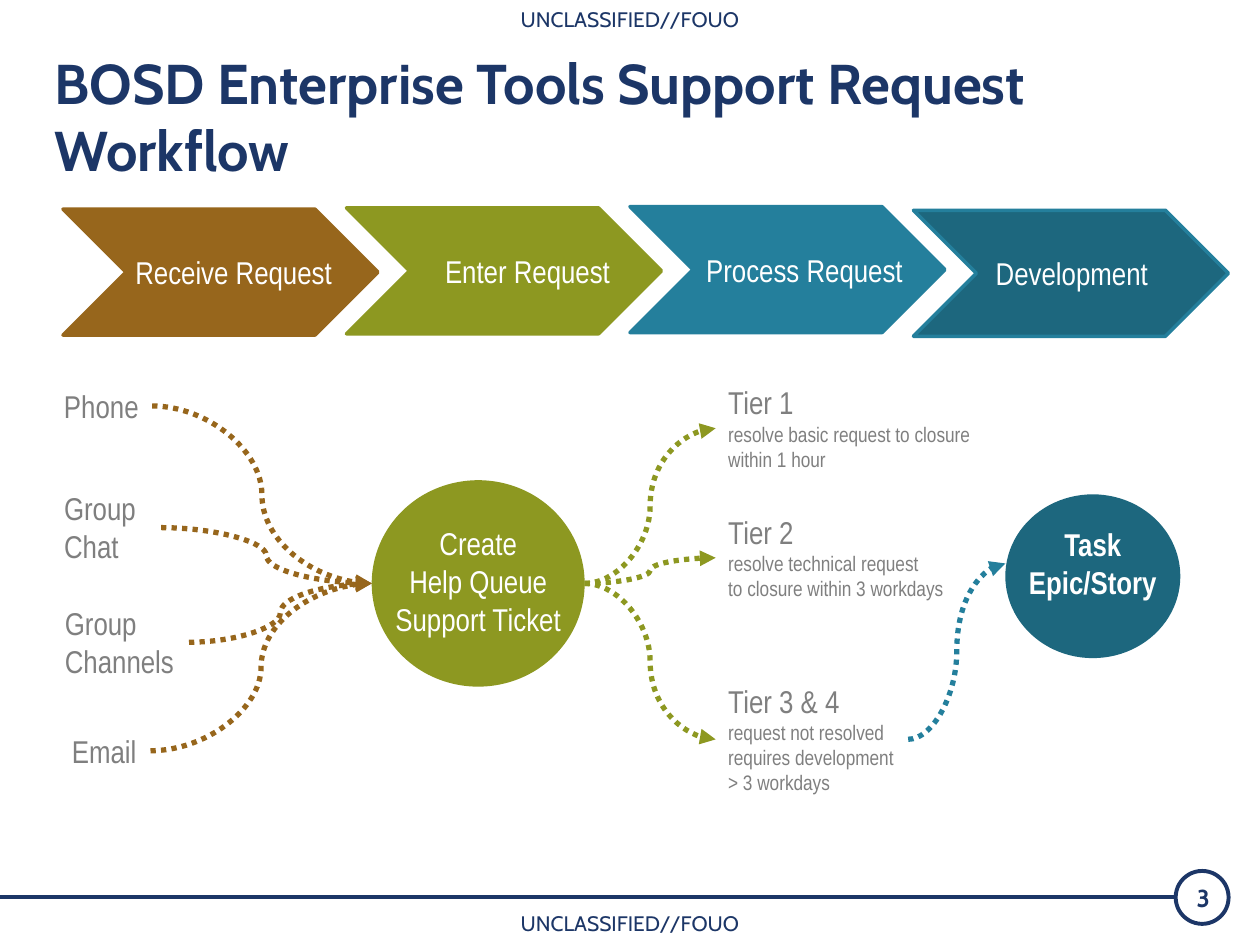
import pptx
import pptx.dml.color
import pptx.enum.dml
import pptx.enum.shapes
import pptx.enum.text
import pptx.oxml.ns
import pptx.util
import lxml.etree

Pt = pptx.util.Pt
SHAPES = pptx.enum.shapes.MSO_SHAPE
CONNECTORS = pptx.enum.shapes.MSO_CONNECTOR
ALIGN = pptx.enum.text.PP_ALIGN
ANCHOR = pptx.enum.text.MSO_ANCHOR

NAVY, BROWN, OLIVE = "1C3667", "97661C", "8D9821"
BLUE, TEAL, GRAY, WHITE = "247F9C", "1D677E", "7F7F7F", "FFFFFF"
NARROW, CABIN = "Arial Narrow", "Cabin"
LEFT_SIDE, RIGHT_SIDE = 1, 3


def color(hex_value):
    return pptx.dml.color.RGBColor.from_string(hex_value)


def add_text(slide, box, lines, ink, font=NARROW, bold=False,
             align=ALIGN.LEFT, anchor=ANCHOR.TOP, wrap=True):
    """Add a text box; lines is a list of (text, size), one paragraph each."""
    shape = slide.shapes.add_textbox(*map(Pt, box))
    frame = shape.text_frame
    frame.word_wrap = wrap
    frame.vertical_anchor = anchor
    for index, (text, size) in enumerate(lines):
        paragraph = frame.paragraphs[0] if index == 0 else frame.add_paragraph()
        paragraph.alignment = align
        run = paragraph.add_run()
        run.text = text
        run.font.name = font
        run.font.size = Pt(size)
        run.font.bold = bold
        run.font.color.rgb = color(ink)
    return shape


def add_outline(slide, preset, box, fill=None, line=None, width=2):
    shape = slide.shapes.add_shape(preset, *map(Pt, box))
    shape.shadow.inherit = False
    if fill:
        shape.fill.solid()
        shape.fill.fore_color.rgb = color(fill)
    else:
        shape.fill.background()
    if line:
        shape.line.color.rgb = color(line)
        shape.line.width = Pt(width)
    else:
        shape.line.fill.background()
    return shape


def add_line(slide, kind, start, end, ink, width):
    connector = slide.shapes.add_connector(kind, *map(Pt, start + end))
    connector.line.color.rgb = color(ink)
    connector.line.width = Pt(width)
    lxml.etree.SubElement(connector._element.spPr,
                          pptx.oxml.ns.qn("a:effectLst"))
    return connector


def add_dotted_arrow(slide, start, end, ink):
    connector = add_line(slide, CONNECTORS.CURVE, start, end, ink, 3)
    connector.line.dash_style = pptx.enum.dml.MSO_LINE.ROUND_DOT
    tail = lxml.etree.SubElement(connector.line._get_or_add_ln(),
                                 pptx.oxml.ns.qn("a:tailEnd"))
    tail.set("type", "triangle")
    return connector


def add_frame(slide, box):
    """Add the markings, the footer rule and the page number."""
    left, top, width, height = box
    for offset in (0, 517):
        add_text(slide, (left, top + offset, width, 21.6),
                 [("UNCLASSIFIED//FOUO", 12)], NAVY, CABIN, align=ALIGN.CENTER)
    rule_y, ring, ring_left = top + 512.8, 30.24, left + 671.8
    add_line(slide, CONNECTORS.STRAIGHT, (left, rule_y), (ring_left, rule_y),
             NAVY, 2.25)
    add_outline(slide, SHAPES.OVAL,
                (ring_left, rule_y - ring / 2, ring, ring), line=NAVY, width=2.25)
    add_text(slide, (left + 661.7, rule_y - 11.8, 51.8, 23.8), [("3", 14)],
             NAVY, CABIN, True, ALIGN.CENTER, ANCHOR.MIDDLE)


def add_stage(slide, box, fill, line, label, label_offset, label_width):
    left, top = box[:2]
    add_outline(slide, SHAPES.CHEVRON, box, fill, line)
    add_text(slide, (left + label_offset, top + 21.5, label_width, 29),
             [(label, 18)], WHITE, align=ALIGN.CENTER)


def add_stages(slide, box):
    left, top, pitch, height = box
    stages = [
        (1.4, BROWN, BROWN, "Receive Request", 33, 129),
        (0.7, OLIVE, OLIVE, "Enter Request", 33, 141),
        (0, BLUE, BLUE, "Process Request", 26, 147.5),
        (2.1, TEAL, BLUE, "Development", 39, 103),
    ]
    for index, (drop, *style) in enumerate(stages):
        add_stage(slide, (left + index * pitch, top + drop, 180, height), *style)


def add_circle(slide, box, fill, lines, text_top, text_height, bold=False):
    left, top, width, height = box
    add_outline(slide, SHAPES.OVAL, box, fill)
    add_text(slide, (left, top + text_top, width, text_height),
             [(line, 18) for line in lines], WHITE, bold=bold,
             align=ALIGN.CENTER, wrap=False)


def add_sources(slide, box, target):
    left, top = box[:2]
    sources = [
        (0, 0, 57.5, 29, ["Phone"]),
        (0, 58.5, 62.5, 51, ["Group", "Chat"]),
        (0.5, 124, 78, 51, ["Group", "Channels"]),
        (4.5, 197, 52, 29, ["Email"]),
    ]
    for x, y, width, height, lines in sources:
        source = add_text(slide, (left + x, top + y, width, height),
                          [(line, 18) for line in lines], GRAY, wrap=False)
        arrow = add_dotted_arrow(slide, (left + x + width, top + y + height / 2),
                                 target, BROWN)
        arrow.begin_connect(source, RIGHT_SIDE)


def add_tiers(slide, box, origin):
    """Add the tiers with arrows from origin; return the last tier's box."""
    left, top = box[:2]
    tiers = [
        (0, 157, 58.5, "Tier 1",
         ["resolve basic request to closure", "within 1 hour"]),
        (74, 142, 58.5, "Tier 2",
         ["resolve technical request", "to closure within 3 workdays"]),
        (170.5, 110, 73, "Tier 3 & 4",
         ["request not resolved", "requires development", "> 3 workdays"]),
    ]
    for y, width, height, name, details in tiers:
        lines = [(name, 18)] + [(detail, 12) for detail in details]
        tier = add_text(slide, (left, top + y, width, height), lines, GRAY,
                        wrap=False)
        arrow = add_dotted_arrow(slide, origin, (left, top + y + height / 2), OLIVE)
        arrow.end_connect(tier, LEFT_SIDE)
    return tier


def main():
    presentation = pptx.Presentation()
    presentation.slide_width, presentation.slide_height = Pt(720), Pt(540)
    slide = presentation.slides.add_slide(presentation.slide_layouts[6])

    add_frame(slide, (0, 0, 720, 540))
    add_text(slide, (24, 24, 666, 60),
             [("BOSD Enterprise Tools Support Request Workflow", 32)],
             NAVY, CABIN, True)
    add_stages(slide, (36, 118.1, 162, 72))

    ticket_left, ticket_width, middle = 212.4, 121.7, 333.4
    add_sources(slide, (29.5, 217.5, 80, 226), (ticket_left, middle))
    add_circle(slide, (ticket_left, middle - 59, ticket_width, 118), OLIVE,
               ["Create", "Help Queue", "Support Ticket"], 21.5, 73)
    last_tier = add_tiers(slide, (409, 215.5, 157, 243.5),
                          (ticket_left + ticket_width, middle))

    add_circle(slide, (574.5, 282.5, 100, 93.6), TEAL,
               ["Task", "Epic/Story"], 14, 51, True)
    arrow = add_dotted_arrow(slide, (519, 422), (574.5, 322), BLUE)
    arrow.begin_connect(last_tier, RIGHT_SIDE)

    presentation.save("out.pptx")


if __name__ == "__main__":
    main()
